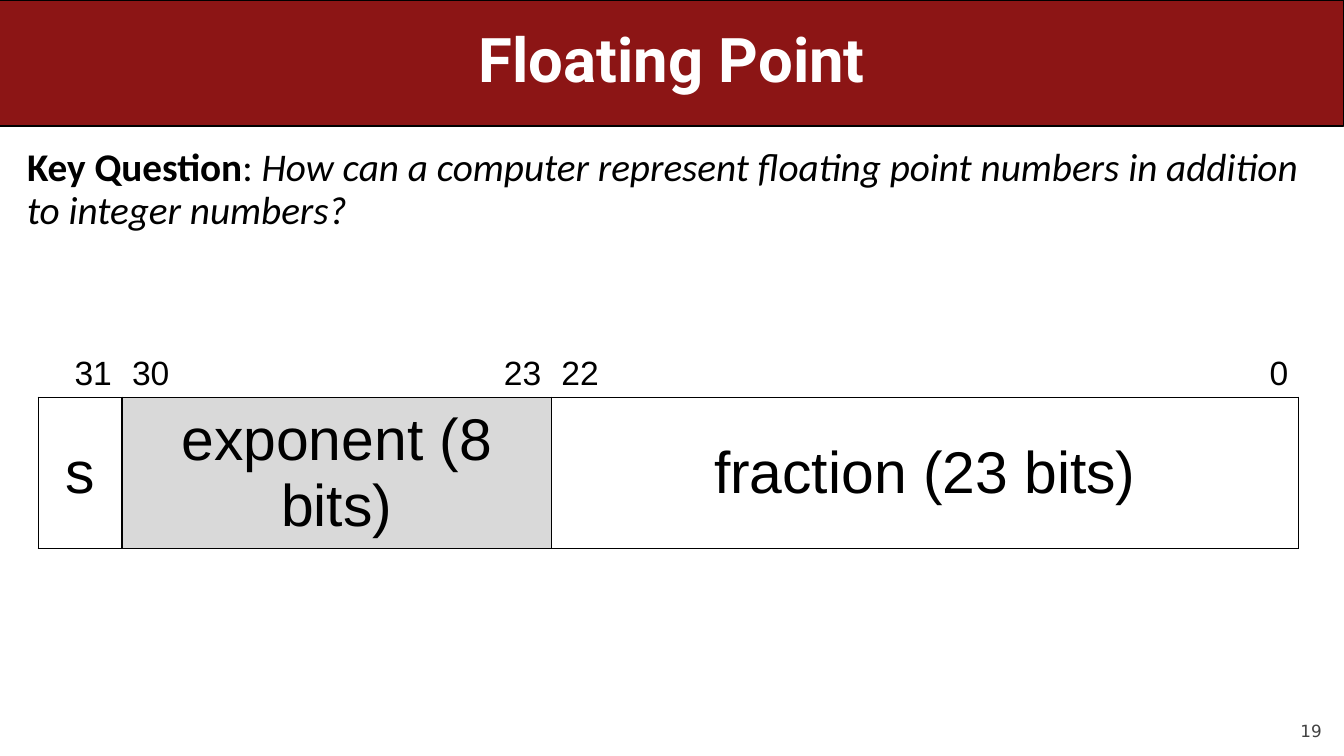
from lxml import etree
from pptx import Presentation
from pptx.dml.color import RGBColor
from pptx.enum.shapes import MSO_SHAPE
from pptx.enum.text import MSO_ANCHOR, PP_ALIGN
from pptx.oxml.ns import qn
from pptx.util import Inches, Pt

BLACK = "000000"


def color(hex_text):
    return RGBColor.from_string(hex_text)


def add_run(p, text, size, font, fill=BLACK, bold=False, italic=False):
    r = p.add_run()
    r.text = text
    r.font.size = Pt(size)
    r.font.name = font
    r.font.color.rgb = color(fill)
    r.font.bold = bold
    r.font.italic = italic


def add_textbox(s, left, top, width, height):
    sp = s.shapes.add_textbox(Inches(left), Inches(top), Inches(width), Inches(height))
    sp.text_frame.word_wrap = True
    return sp.text_frame


def add_header(s, width, height, text):
    # Red band, placed behind the title
    band = s.shapes.add_shape(MSO_SHAPE.ROUNDED_RECTANGLE, 0, 0, Inches(width), Inches(height))
    band.adjustments[0] = 0
    band.shadow.inherit = False
    band.fill.solid()
    band.fill.fore_color.rgb = color("8C1515")
    band.line.color.rgb = color(BLACK)
    band.line.width = Pt(0.75)
    s.shapes._spTree.insert(2, band._element)

    # Title
    title = s.shapes.title
    title.left, title.top = Inches(0.5), 0
    title.width, title.height = Inches(width - 1), Inches(height)
    tf = title.text_frame
    tf.vertical_anchor = MSO_ANCHOR.MIDDLE
    p = tf.paragraphs[0]
    p.alignment = PP_ALIGN.CENTER
    p.line_spacing = 0.9
    add_run(p, text, 44, "Roboto", "FFFFFF", bold=True)


def add_question(s, left, top, width, height):
    p = add_textbox(s, left, top, width, height).paragraphs[0]
    p.line_spacing = 0.9
    add_run(p, "Key Question", 28, "Calibri", bold=True)
    add_run(p, ": ", 28, "Calibri")
    add_run(p, "How can a computer represent floating point numbers in addition to integer numbers?",
            28, "Calibri", italic=True)


def set_borders(cell, sides):
    tcPr = cell._tc.get_or_add_tcPr()
    for i, side in enumerate(sides):
        ln = etree.Element(qn(f"a:ln{side}"), w=str(Pt(1)))
        fill = etree.SubElement(ln, qn("a:solidFill"))
        etree.SubElement(fill, qn("a:srgbClr"), val=BLACK)
        tcPr.insert(i, ln)


def write_cell(cell, text, size, align, anchor):
    cell.vertical_anchor = anchor
    p = cell.text_frame.paragraphs[0]
    p.alignment = align
    add_run(p, text, size, "Arial")


def add_bit_layout(s, left, top, width, row_height):
    sign_width, exponent_width = 0.83, 1.42
    fraction_width = (width - sign_width - 3 * exponent_width) / 6
    widths = [sign_width] + [exponent_width] * 3 + [fraction_width] * 6
    table = s.shapes.add_table(2, len(widths), Inches(left), Inches(top),
                               Inches(width), Inches(2 * row_height)).table
    table.first_row = table.horz_banding = False
    for column, w in zip(table.columns, widths):
        column.width = Inches(w)
    for cell in table.iter_cells():
        cell.fill.background()

    # Bit numbers above the fields
    bits = {0: ("31", PP_ALIGN.RIGHT), 1: ("30", PP_ALIGN.LEFT), 3: ("23", PP_ALIGN.RIGHT),
            4: ("22", PP_ALIGN.LEFT), 9: ("0", PP_ALIGN.RIGHT)}
    for col in range(len(widths)):
        cell = table.cell(0, col)
        set_borders(cell, "B")
        if col in bits:
            text, align = bits[col]
            write_cell(cell, text, 24, align, MSO_ANCHOR.BOTTOM)

    # Named fields: first column, last column, text
    for first, last, text in [(0, 0, "s"), (1, 3, "exponent (8 bits)"), (4, 9, "fraction (23 bits)")]:
        cell = table.cell(1, first)
        if last > first:
            cell.merge(table.cell(1, last))
        write_cell(cell, text, 42, PP_ALIGN.CENTER, MSO_ANCHOR.MIDDLE)
        if text.startswith("exponent"):
            cell.fill.solid()
            cell.fill.fore_color.rgb = color("D9D9D9")
        set_borders(cell, "LRTB")


def add_page_number(s, left, top, width, height, number):
    tf = add_textbox(s, left, top, width, height)
    tf.margin_left = tf.margin_right = tf.margin_top = tf.margin_bottom = 0
    tf.vertical_anchor = MSO_ANCHOR.BOTTOM
    p = tf.paragraphs[0]
    p.alignment = PP_ALIGN.RIGHT
    add_run(p, number, 12, "DejaVu Sans", "424242")


def main():
    prs = Presentation()
    prs.slide_width, prs.slide_height = Inches(13.33), Inches(7.5)
    s = prs.slides.add_slide(prs.slide_layouts[5])
    add_header(s, 13.33, 1.25, "Floating Point")
    add_question(s, 0.17, 1.42, 12.92, 5.67)
    add_bit_layout(s, 0.38, 2.92, 12.5, 1.02)
    add_page_number(s, 12, 6.95, 1.11, 0.4, "19")
    prs.save("out.pptx")


if __name__ == "__main__":
    main()
